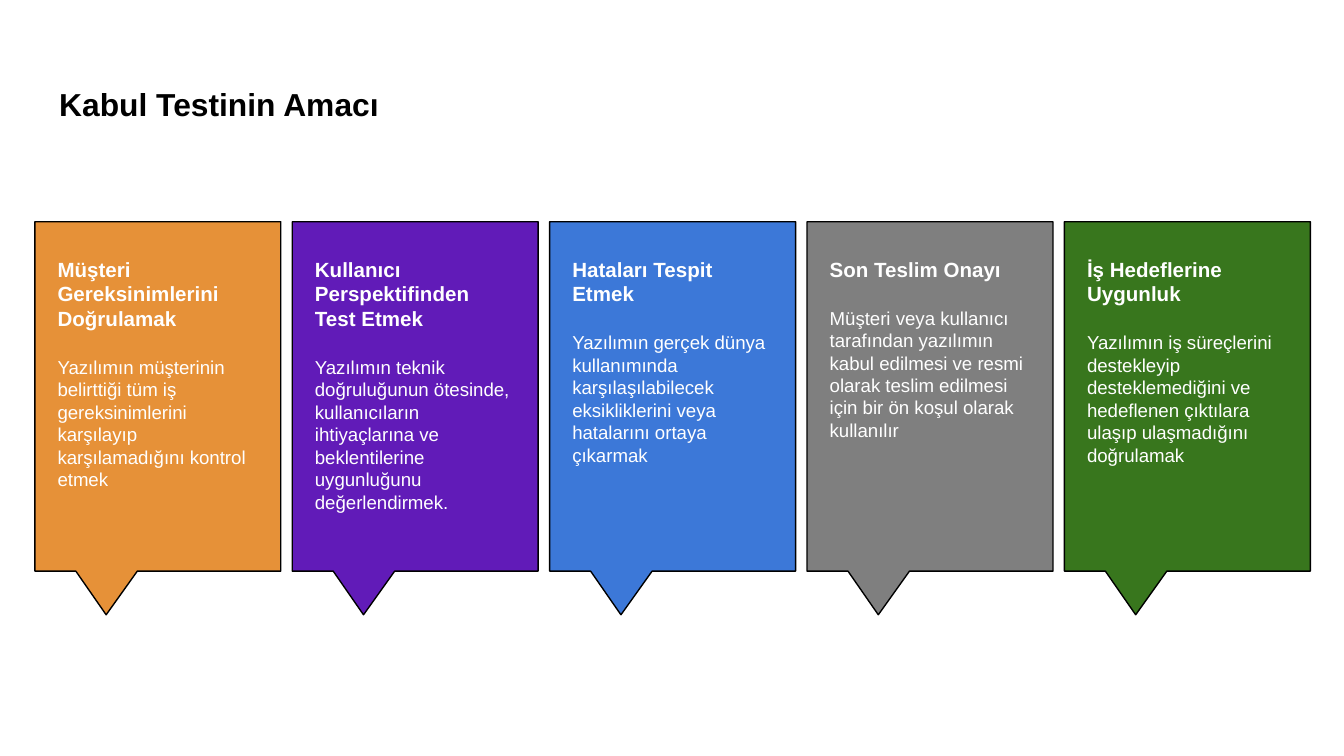
import pptx
import pptx.util
import pptx.dml.color
import pptx.enum.shapes
import pptx.enum.text

Inches, Pt = pptx.util.Inches, pptx.util.Pt

TITLE = "Kabul Testinin Amacı"
COLORS = {
    "black": "000000", "white": "FFFFFF", "orange": "E69138", "purple": "611BB8",
    "blue": "3C78D8", "gray": "7F7F7F", "green": "38761D",
}
# colour, heading, description, text box height
CARDS = [
    ("orange", "Müşteri Gereksinimlerini Doğrulamak",
     "Yazılımın müşterinin belirttiği tüm iş gereksinimlerini karşılayıp "
     "karşılamadığını kontrol etmek", 1.94),
    ("purple", "Kullanıcı Perspektifinden Test Etmek",
     "Yazılımın teknik doğruluğunun ötesinde, kullanıcıların ihtiyaçlarına ve "
     "beklentilerine uygunluğunu değerlendirmek.", 2.1),
    ("blue", "Hataları Tespit Etmek",
     "Yazılımın gerçek dünya kullanımında karşılaşılabilecek eksikliklerini veya "
     "hatalarını ortaya çıkarmak", 1.75),
    ("gray", "Son Teslim Onayı",
     "Müşteri veya kullanıcı tarafından yazılımın kabul edilmesi ve resmi olarak "
     "teslim edilmesi için bir ön koşul olarak kullanılır", 1.57),
    ("green", "İş Hedeflerine Uygunluk",
     "Yazılımın iş süreçlerini destekleyip desteklemediğini ve hedeflenen çıktılara "
     "ulaşıp ulaşmadığını doğrulamak", 1.75),
]
CARD_LEFT, CARD_TOP, CARD_WIDTH, CARD_HEIGHT = 0.26, 1.65, 1.83, 2.6
LAST_CARD_LEFT = 7.92
CARD_STEP = (LAST_CARD_LEFT - CARD_LEFT) / (len(CARDS) - 1)
TEXT_TOP, TEXT_WIDTH = 1.81, 1.67
TEXT_INSET = 0.07


def rgb(name):
    return pptx.dml.color.RGBColor.from_string(COLORS[name])


def write_paragraph(paragraph, text, size, color, bold):
    paragraph.text = text
    paragraph.alignment = pptx.enum.text.PP_ALIGN.LEFT
    font = paragraph.runs[0].font
    font.name, font.size, font.bold = "Arial", Pt(size), bold
    font.color.rgb = rgb(color)


def prepare_frame(frame):
    frame.word_wrap = True
    frame.vertical_anchor = pptx.enum.text.MSO_ANCHOR.TOP
    frame.margin_left = frame.margin_right = Inches(0.1)
    frame.margin_top = frame.margin_bottom = Inches(0.1)


def add_title(slide):
    title = slide.shapes.title
    title.left, title.top = Inches(0.34), Inches(0.49)
    title.width, title.height = Inches(9.32), Inches(0.68)
    prepare_frame(title.text_frame)
    paragraph = title.text_frame.paragraphs[0]
    write_paragraph(paragraph, TITLE, 17, "black", True)
    paragraph.line_spacing = 1.15
    paragraph.space_before, paragraph.space_after = Pt(14), Pt(4)


def add_card(slide, left, color, heading, description, text_height):
    callout = slide.shapes.add_shape(
        pptx.enum.shapes.MSO_SHAPE.RECTANGULAR_CALLOUT,
        Inches(left), Inches(CARD_TOP), Inches(CARD_WIDTH), Inches(CARD_HEIGHT))
    callout.adjustments[0], callout.adjustments[1] = -0.21, 0.625
    callout.shadow.inherit = False
    callout.fill.solid()
    callout.fill.fore_color.rgb = rgb(color)
    callout.line.color.rgb = rgb("black")
    callout.line.width = Pt(0.75)

    text_box = slide.shapes.add_textbox(
        Inches(left + TEXT_INSET), Inches(TEXT_TOP), Inches(TEXT_WIDTH), Inches(text_height))
    frame = text_box.text_frame
    prepare_frame(frame)
    frame.auto_size = pptx.enum.text.MSO_AUTO_SIZE.SHAPE_TO_FIT_TEXT
    write_paragraph(frame.paragraphs[0], heading, 11, "white", True)
    body = frame.add_paragraph()
    write_paragraph(body, description, 10, "white", False)
    body.space_before = Pt(13.5)


def main():
    presentation = pptx.Presentation()
    presentation.slide_width = Inches(10)
    presentation.slide_height = presentation.slide_width * 9 // 16
    slide = presentation.slides.add_slide(
        presentation.slide_layouts.get_by_name("Title Only"))
    add_title(slide)
    for index, card in enumerate(CARDS):
        add_card(slide, CARD_LEFT + index * CARD_STEP, *card)
    presentation.save("out.pptx")


if __name__ == "__main__":
    main()
